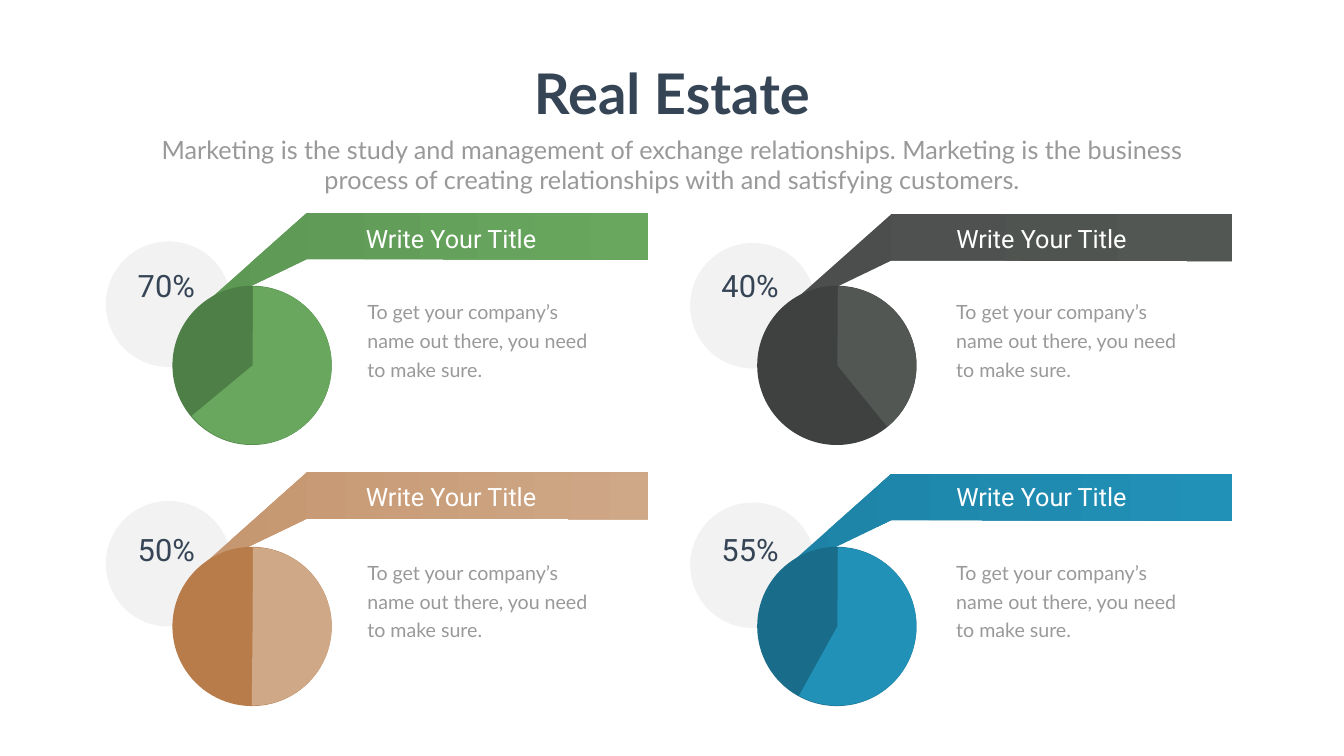
from lxml.etree import SubElement
from pptx import Presentation
from pptx.dml.color import RGBColor
from pptx.enum.shapes import MSO_SHAPE as SHAPE
from pptx.enum.text import MSO_AUTO_SIZE as AUTO, PP_ALIGN as ALIGN
from pptx.oxml.ns import qn
from pptx.util import Inches, Pt

# The slide is a grid of one-inch columns and rows
COLS, ROWS = 26.66, 15
CARD_LEFT, CARD_TOP = 2.1, 4.22
CARD_W, CARD_H = 11.59, 5.15
NAVY, GREY, WHITE = "364556", "999999", "FFFFFF"

# Percent, ribbon start, light colour, dark colour, end angle of light slice
CARDS = [
    ("70%", "5D9854", "69A75F", "4E7F46", 140.32),
    ("40%", "4B4E4C", "535754", "3E413F", 50.93),
    ("50%", "C5966F", "CFA887", "B77C4A", 90.56),
    ("55%", "1E82A6", "2191B8", "196D8A", 118.98),
]

# Offset in the card, size, and extra shift per card column and card row
PARTS = {
    "badge": (0, 0.57, 2.49, 2.49, 0, 0),
    "title": (5.06, 0.16, 4.41, 0.71, 0.12, -0.03),
    "body": (5.09, 1.59, 4.63, 1.77, 0.09, 0.02),
    "percent": (0.37, 1.03, 1.66, 0.84, -0.01, 0.09),
    "disc": (1.32, 1.45, 3.16, 3.16, 0.01, 0.03),
    "slice": (1.34, 1.46, 3.14, 3.14, 0.01, 0.03),
}
RIBBON = [(2.26, 0), (9.02, 0), (9.02, 0.93), (2.26, 0.92), (0, 2.01)]
RIBBON_X = 1.73
SKEW = 0.03  # the right-hand badges and ribbons sit slightly lower


def rgb(color):
    return RGBColor.from_string(color)


def paint(sp, color, alpha=None):
    sp.shadow.inherit = False
    sp.line.fill.background()
    sp.fill.solid()
    sp.fill.fore_color.rgb = rgb(color)
    if alpha is not None:
        clr = sp.fill._xPr.find(qn("a:solidFill"))[0]
        SubElement(clr, qn("a:alpha")).set("val", str(alpha * 1000))


def add_part(shapes, kind, box, color, alpha=None):
    sp = shapes.add_shape(kind, *map(Inches, box))
    paint(sp, color, alpha)
    return sp


def add_text(slide, box, text, size, font, color, align=ALIGN.LEFT,
             bold=False, wrap=True, spacing=None):
    tf = slide.shapes.add_textbox(*map(Inches, box)).text_frame
    tf.word_wrap = wrap
    tf.auto_size = AUTO.SHAPE_TO_FIT_TEXT
    p = tf.paragraphs[0]
    p.alignment = align
    if spacing:
        p.line_spacing = Pt(spacing)
    r = p.add_run()
    r.text = text
    r.font.size, r.font.name, r.font.bold = Pt(size), font, bold
    r.font.color.rgb = rgb(color)


def add_ribbon(slide, left, top, start, end):
    points = [(Inches(left + x), Inches(top + y)) for x, y in RIBBON]
    builder = slide.shapes.build_freeform(*points[0])
    builder.add_line_segments(points[1:], close=True)
    sp = builder.convert_to_shape()
    paint(sp, end)
    sp.fill.gradient()
    sp.fill.gradient_angle = 0
    for stop, color, position in zip(sp.fill.gradient_stops, (start, end), (0, 1)):
        stop.color.rgb = rgb(color)
        stop.position = position


def add_pie(slide, disc, wedge, light, dark, end_angle):
    group = slide.shapes.add_group_shape()
    add_part(group.shapes, SHAPE.OVAL, disc, dark)
    sp = add_part(group.shapes, SHAPE.PIE, wedge, light)
    # Angles are stored in 60000ths of a degree, adjustments in 100000ths
    for i, angle in enumerate((270.32, end_angle)):
        sp.adjustments[i] = angle * 0.6


def add_heading(slide, left, top, width):
    title_w = 5.83
    add_text(slide, (left + (width - title_w) / 2, top, title_w, 1.45),
             "Real Estate", 80, "Lato", NAVY, ALIGN.CENTER, bold=True, wrap=False)
    add_text(slide, (left, top + 1.49, width, 1.31),
             "Marketing is the study and management of exchange relationships. "
             "Marketing is the business process of creating relationships with "
             "and satisfying customers.", 36, "Lato", GREY, ALIGN.CENTER)


def add_card(slide, col, row, percent, start, light, dark, end_angle):
    left, top = CARD_LEFT + col * CARD_W, CARD_TOP + row * CARD_H
    box = {name: (left + x + col * dx, top + y + row * dy, w, h)
           for name, (x, y, w, h, dx, dy) in PARTS.items()}
    # Badge and ribbon
    x, y, w, h = box["badge"]
    add_part(slide.shapes, SHAPE.OVAL, (x, y + col * SKEW, w, h), "808080", 10)
    add_ribbon(slide, left + RIBBON_X, top + col * SKEW, start, light)
    # Texts
    add_text(slide, box["title"], "Write Your Title", 36, "Roboto", WHITE)
    add_text(slide, box["body"],
             "To get your company’s name out there, you need to make sure.",
             28, "Lato", GREY, spacing=40.8)
    add_text(slide, box["percent"], percent, 44, "Roboto", NAVY, ALIGN.CENTER)
    # Pie
    add_pie(slide, box["disc"], box["slice"], light, dark, end_angle)


def main():
    prs = Presentation()
    prs.slide_width, prs.slide_height = Inches(COLS), Inches(ROWS)
    slide = prs.slides.add_slide(prs.slide_layouts[6])
    add_heading(slide, 2.92, 1.12, COLS - 2 * 2.92)
    for i, card in enumerate(CARDS):
        add_card(slide, i % 2, i // 2, *card)
    prs.save("out.pptx")


if __name__ == "__main__":
    main()
